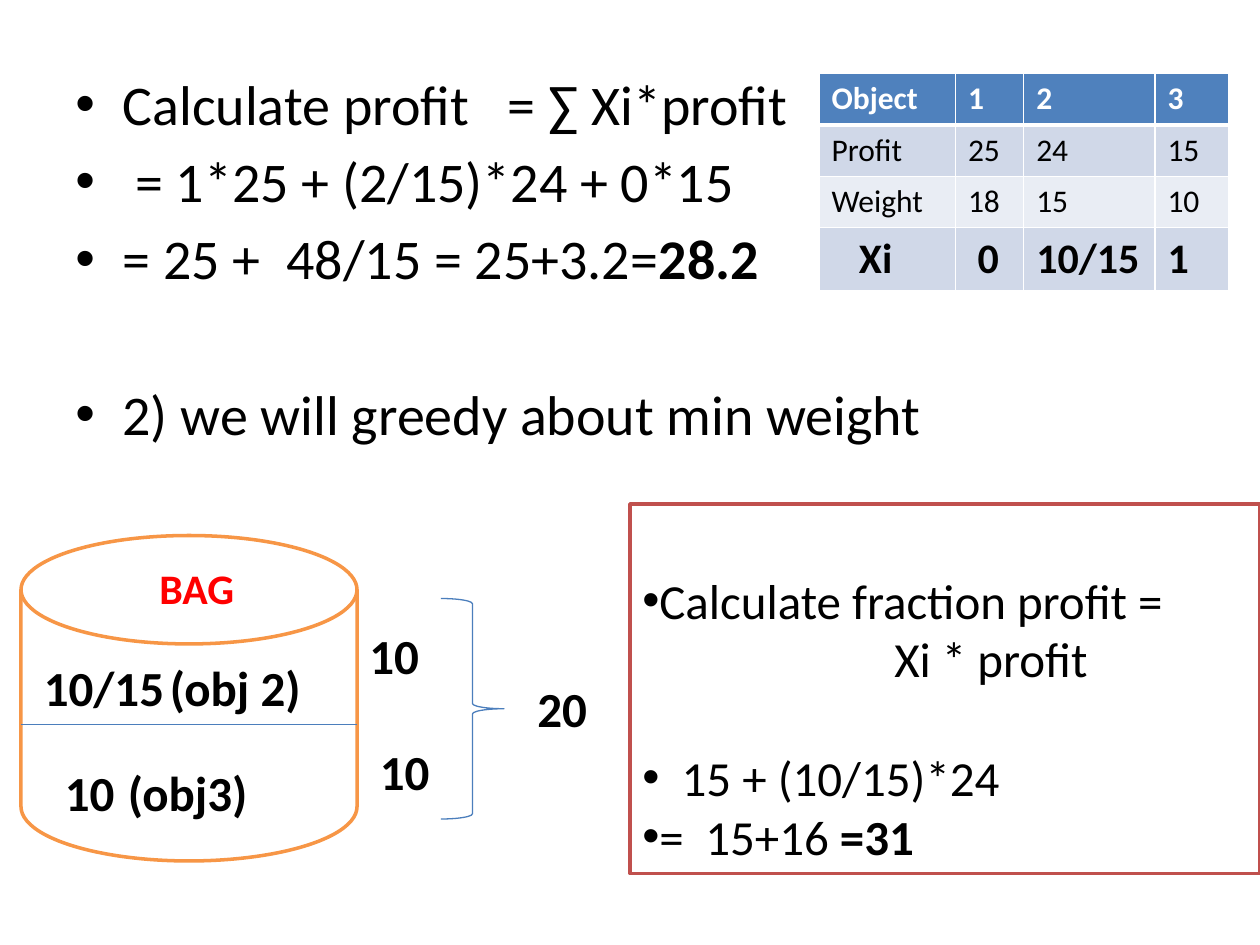
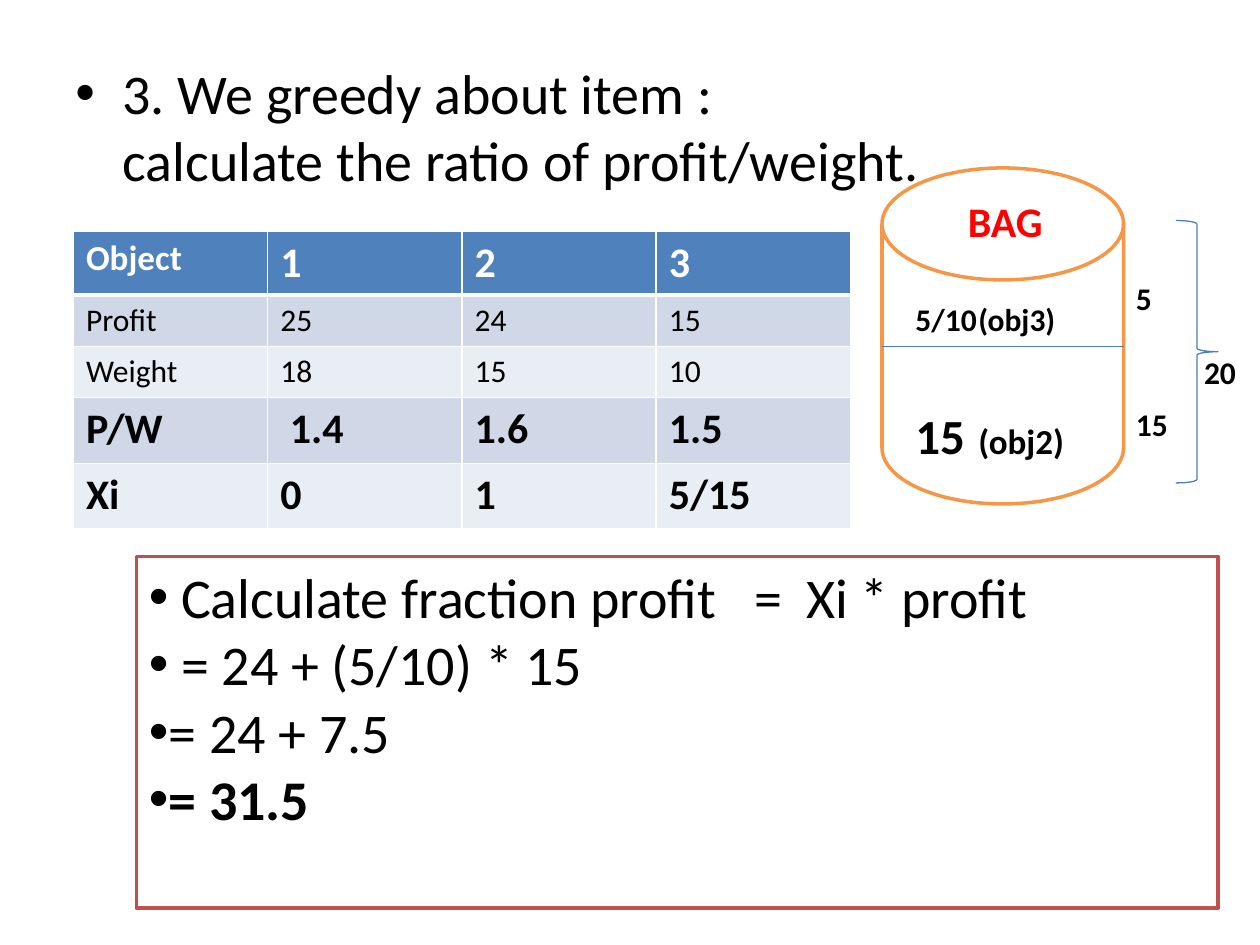
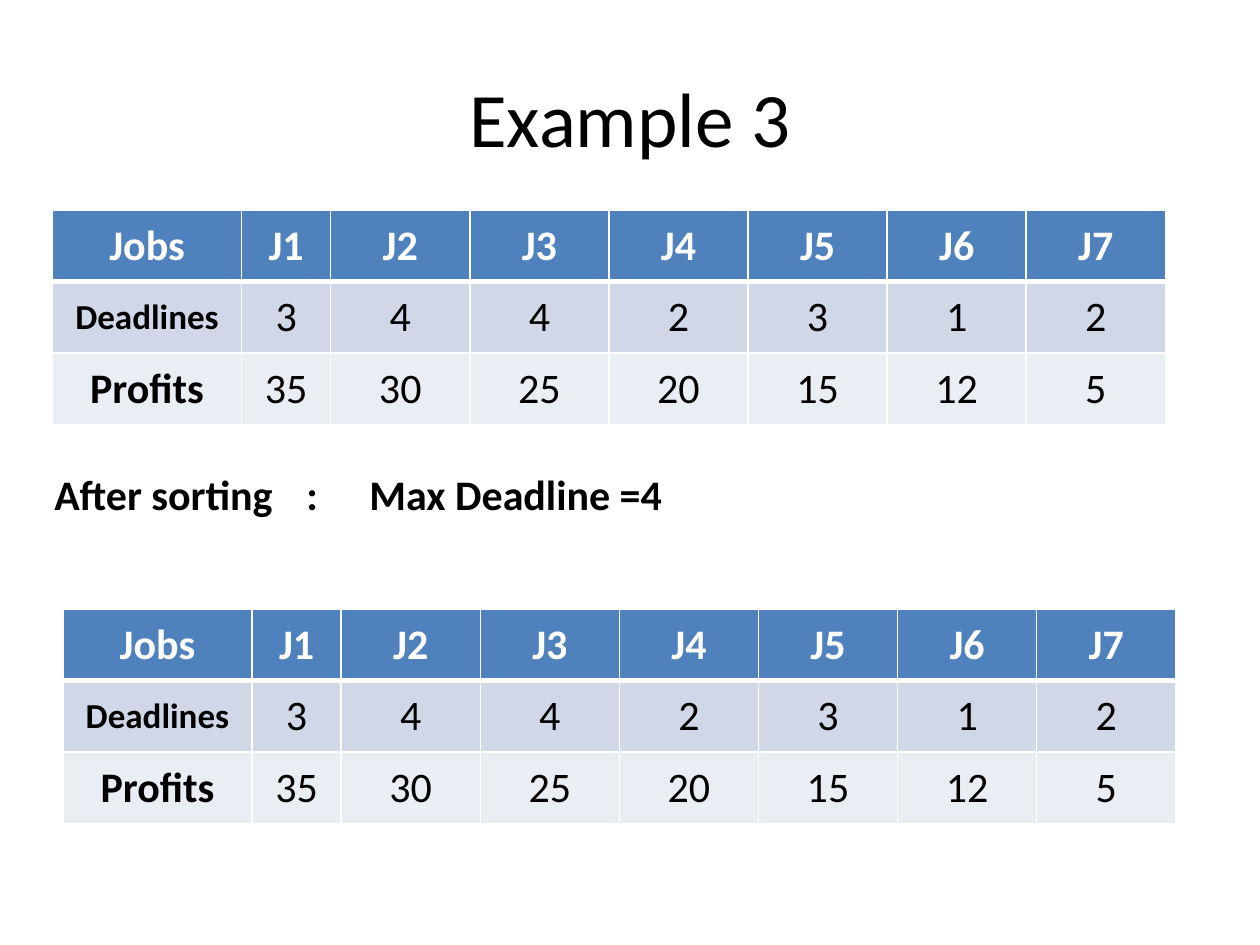
import dataclasses

import lxml.etree
import pptx
import pptx.dml.color
import pptx.enum.shapes
import pptx.enum.text
import pptx.oxml.ns
import pptx.util

SHAPE = pptx.enum.shapes.MSO_SHAPE
ALIGN = pptx.enum.text.PP_ALIGN
ANCHOR = pptx.enum.text.MSO_ANCHOR


@dataclasses.dataclass(frozen=True)
class Theme:
    font: str = "Calibri"
    ink: str = "000000"
    paper: str = "FFFFFF"
    alert: str = "FF0000"
    head: str = "4F81BD"
    bands: tuple = ("D0D8E8", "E9EDF4")
    bag: str = "F79646"
    frame: str = "C0504D"
    rule: str = "4B7EBC"
    title: int = 44
    body: int = 32
    sum: int = 28
    big: int = 24
    mid: int = 20
    small: int = 18
    thick: float = 2
    thin: float = 0.75
    gap: float = 5.8


@dataclasses.dataclass
class Line:
    """One paragraph; tabs and hang are in grid units, gap in points."""
    text: str
    tail: str = ""
    tail_size: int = 0
    tabs: tuple = ()
    mark: bool = True
    hang: float = 0
    gap: float = 0
    bold: bool = False


@dataclasses.dataclass
class Row:
    cells: list
    high: float
    size: int
    bold: bool = False
    lead: int = 0


def unit(count):
    """A grid unit is a twelfth of an inch: 120 columns by 90 rows."""
    return pptx.util.Inches(round(count / 12, 3))


def paint(color):
    return pptx.dml.color.RGBColor.from_string(color)


def node(parent, tag, **attrs):
    item = lxml.etree.SubElement(parent, pptx.oxml.ns.qn(tag))
    for key, value in attrs.items():
        item.set(key, str(value))
    return item


class Deck:
    def __init__(self, theme):
        self.theme = theme
        self.file = pptx.Presentation()
        self.file.slide_width, self.file.slide_height = unit(120), unit(90)
        self.slide = None

    def page(self):
        self.slide = self.file.slides.add_slide(self.file.slide_layouts[6])

    # Text
    def style(self, run, size, color, bold):
        run.font.name = self.theme.font
        run.font.size = pptx.util.Pt(size)
        run.font.color.rgb = paint(color)
        run.font.bold = bold

    def typeset(self, para, line, size, color):
        props = para._p.get_or_add_pPr()
        props.set("marL", str(unit(line.hang)))
        props.set("indent", str(-unit(line.hang)))
        if line.mark:
            node(props, "a:buFont", typeface="Arial")
            node(props, "a:buChar", char="•")
        if line.tabs:
            stops = node(props, "a:tabLst")
            for stop in line.tabs:
                node(stops, "a:tab", pos=unit(stop), algn="l")
        if line.gap:
            para.space_before = pptx.util.Pt(line.gap)
        para.text = line.text
        for run in para.runs:
            self.style(run, size, color, line.bold)
        if line.tail:
            run = para.add_run()
            run.text = line.tail
            self.style(run, line.tail_size or size, color, True)

    def fill(self, frame, lines, size, color=None):
        frame.word_wrap = True
        frame.vertical_anchor = ANCHOR.TOP
        for index, line in enumerate(lines):
            para = frame.add_paragraph() if index else frame.paragraphs[0]
            para.alignment = ALIGN.LEFT
            self.typeset(para, line, size, color or self.theme.ink)

    def text(self, box, lines, size, color=None):
        frame = self.slide.shapes.add_textbox(*map(unit, box)).text_frame
        self.fill(frame, lines, size, color)
        return frame

    def label(self, box, text, size, color=None, **more):
        return self.text(box, [Line(text, mark=False, bold=True, **more)], size, color)

    def title(self, text):
        frame = self.text((6, 3.6, 108, 15), [Line(text, mark=False)], self.theme.title)
        frame.vertical_anchor = ANCHOR.MIDDLE
        frame.paragraphs[0].alignment = ALIGN.CENTER

    # Shapes
    def shape(self, kind, box, color, width, solid=True):
        item = self.slide.shapes.add_shape(kind, *map(unit, box))
        item.shadow.inherit = False
        if solid:
            item.fill.solid()
            item.fill.fore_color.rgb = paint(self.theme.paper)
        else:
            item.fill.background()
        item.line.color.rgb = paint(color)
        item.line.width = pptx.util.Pt(width)
        return item

    def panel(self, box, lines, size, top=0.6):
        item = self.shape(SHAPE.RECTANGLE, box, self.theme.frame, self.theme.thick)
        item.text_frame.margin_top = unit(top)
        self.fill(item.text_frame, lines, size)

    def brace(self, box):
        self.shape(SHAPE.RIGHT_BRACE, box, self.theme.rule, self.theme.thin, solid=False)

    def bag(self, box, cut, name):
        left, _, wide, _ = box
        self.shape(SHAPE.FLOWCHART_MAGNETIC_DISK, box, self.theme.bag, self.theme.thick)
        rule = self.slide.shapes.add_connector(
            pptx.enum.shapes.MSO_CONNECTOR.STRAIGHT,
            unit(left), unit(cut), unit(left + wide), unit(cut))
        rule.line.color.rgb = paint(self.theme.rule)
        rule.line.width = pptx.util.Pt(self.theme.thin)
        node(rule._element.spPr, "a:effectLst")
        self.label((*name, 10, 6), "BAG", self.theme.big, self.theme.alert)

    # Tables
    def edge(self, cell, head):
        props = cell._tc.get_or_add_tcPr()
        for side in "LRTB":
            width = 3 if head and side == "B" else 1
            line = node(props, f"a:ln{side}", w=pptx.util.Pt(width))
            node(node(line, "a:solidFill"), "a:srgbClr", val=self.theme.paper)

    def table(self, left, top, wides, rows, center=False):
        grid = self.slide.shapes.add_table(
            len(rows), len(wides), unit(left), unit(top),
            unit(sum(wides)), unit(sum(row.high for row in rows))).table
        grid.first_row = grid.horz_banding = False
        for col, wide in zip(grid.columns, wides):
            col.width = unit(wide)
        for y, row in enumerate(rows):
            grid.rows[y].height = unit(row.high)
            for x, text in enumerate(row.cells):
                cell = grid.cell(y, x)
                self.edge(cell, y == 0)
                cell.fill.solid()
                cell.fill.fore_color.rgb = paint(
                    self.theme.bands[(y - 1) % 2] if y else self.theme.head)
                size = row.lead if x == 0 and row.lead else row.size
                bold = row.bold or y == 0 or (center and x == 0)
                self.typeset(cell.text_frame.paragraphs[0],
                             Line(text, mark=False, bold=bold), size,
                             self.theme.ink if y else self.theme.paper)
                if center:
                    cell.vertical_anchor = ANCHOR.MIDDLE
                    cell.margin_left = cell.margin_right = unit(1)
                    cell.margin_top = cell.margin_bottom = unit(1)
                    cell.text_frame.paragraphs[0].alignment = ALIGN.CENTER
        return grid


PROFIT = ["Profit", "25", "24", "15"]
WEIGHT = ["Weight", "18", "15", "10"]
OBJECT = ["Object", "1", "2", "3"]


def weight(deck):
    """Greedy by least weight."""
    look = deck.theme
    deck.page()
    deck.text((6, 6, 108, 74.4), [
        Line("Calculate profit\t= ∑ Xi*profit", hang=4.5, tabs=(41.2,)),
        Line(" = 1*25 + (2/15)*24 + 0*15", hang=4.5, gap=look.gap),
        Line("= 25 +\t48/15 = 25+3.2=", "28.2", hang=4.5, gap=look.gap, tabs=(20.1,)),
        Line("2) we will greedy about min weight", hang=4.5, gap=50.6),
    ], look.body)
    grid = deck.table(78, 7, (13, 6.5, 12.5, 7), [
        Row(OBJECT, 4.9, look.small),
        Row(PROFIT, 4.9, look.small),
        Row(WEIGHT, 4.9, look.small),
        Row(["Xi", " 0", "10/15", "1"], 6, look.big, bold=True),
    ])
    grid.cell(3, 0).margin_left = unit(3.8)

    # Bag and its load
    deck.bag((2, 51, 32, 31), 69, (14, 53))
    deck.label((5, 72, 30, 7), "10\t(obj3)", look.sum, tabs=(8.9,))
    deck.label((3, 62, 31, 7), "10/15\t(obj 2)", look.sum, tabs=(15.7,))
    for left, top, text in ((35, 70, "10"), (34, 59, "10"), (50, 64, "20")):
        deck.label((left, top, 7.2, 7), text, look.sum)
    deck.brace((42, 57, 6, 21))

    # Result
    deck.panel((60, 48, 60, 35.2), [
        Line("Calculate fraction profit =\v\tXi * profit", tabs=(24,)),
        Line("15 + (10/15)*24", hang=3.75, gap=34),
        Line("=\t15+16 ", "=31", tabs=(6,)),
    ], look.sum, top=6.3)


def ratio(deck):
    """Greedy by profit per weight."""
    look = deck.theme
    deck.page()
    deck.text((6, 5, 108, 75.4), [
        Line("3. We greedy about item :\vcalculate the ratio of profit/weight.", hang=4.5),
    ], look.body)
    deck.table(7, 22, (18.5,) * 4, [
        Row(OBJECT, 6.1, look.big, lead=look.mid),
        Row(PROFIT, 4.9, look.small),
        Row(WEIGHT, 4.9, look.small),
        Row(["P/W", " 1.4", "1.6", "1.5"], 6.25, look.big, bold=True),
        Row(["Xi", "0", "1", "5/15"], 6.25, look.big, bold=True),
    ])

    # Result
    deck.panel((13, 53, 103, 33.5), [
        Line(" Calculate fraction profit\t=\tXi * profit", tabs=(57.7, 62.6)),
        Line(" = 24 + (5/10) * 15"),
        Line("= 24 + 7.5"),
        Line("= 31.5", bold=True),
    ], look.body)

    # Bag and its load
    deck.bag((84, 16, 23, 32), 33, (91, 18))
    deck.brace((112, 21, 4, 25))
    for left, top, text in ((113.5, 33, "20"), (107, 38, "15"), (107, 26, "5")):
        deck.label((left, top, 5.6, 4.8), text, look.small)
    deck.label((86, 38, 20, 7), "15\t", look.sum, tabs=(8,),
               tail="(obj2)", tail_size=look.mid)
    deck.label((86, 28, 18, 4.8), "5/10\t(obj3)", look.small, tabs=(8,))


def jobs(deck):
    """Job list before and after sorting."""
    look = deck.theme
    deck.page()
    deck.title("Example 3")
    rows = [
        Row(["Jobs"] + [f"J{n}" for n in range(1, 8)], 6.8, look.big),
        Row(["Deadlines", *"3442312"], 6.8, look.big, lead=look.mid),
        Row(["Profits", "35", "30", "25", "20", "15", "12", "5"], 6.8, look.big),
    ]
    for left, top in ((5, 20), (6, 58)):
        deck.table(left, top, (18, 8.5) + (13.25,) * 6, rows, center=True)
    deck.label((4, 44, 108, 6), "After sorting\t:\tMax Deadline =4", look.big,
               tabs=(28.1, 75.3))


def main():
    deck = Deck(Theme())
    for build in (weight, ratio, jobs):
        build(deck)
    deck.file.save("out.pptx")


if __name__ == "__main__":
    main()
